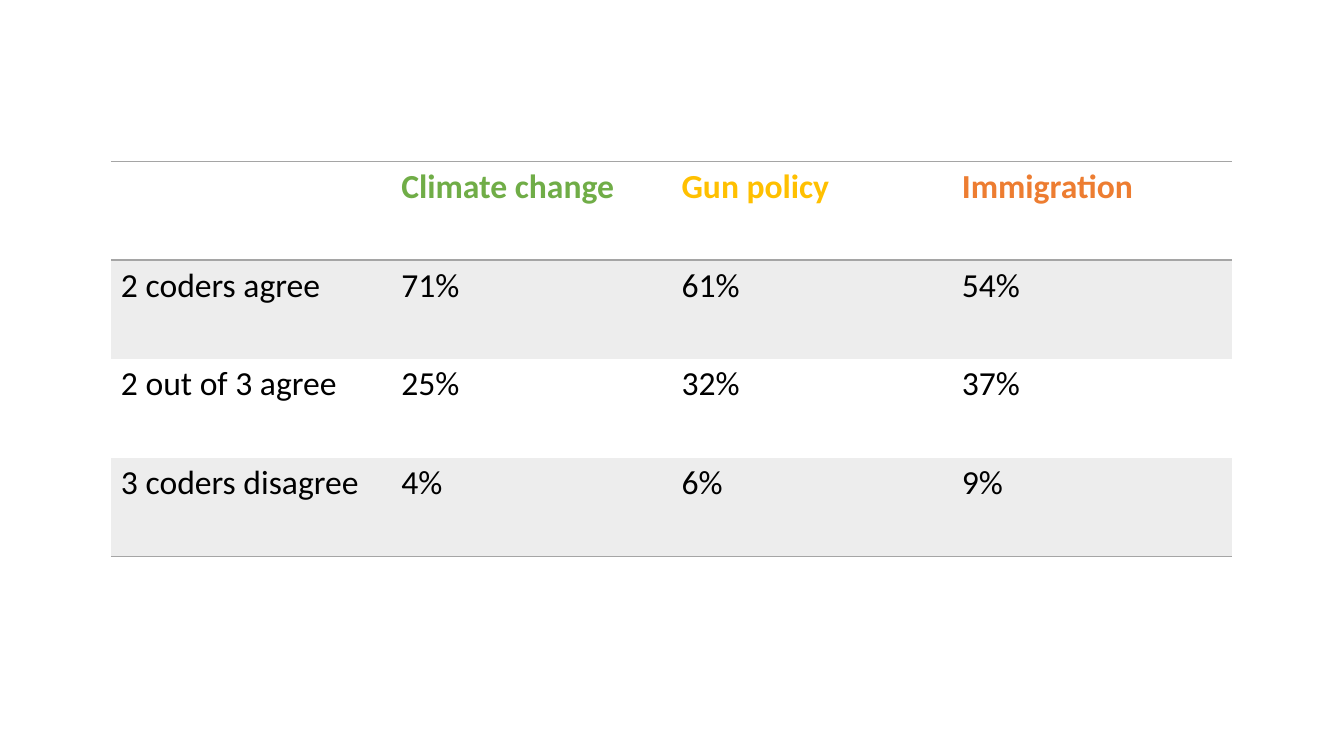
"""Build a slide with a table of coder agreement by topic."""
from lxml import etree
from pptx import Presentation
from pptx.dml.color import RGBColor
from pptx.oxml.ns import qn
from pptx.util import Inches, Pt

BLACK = RGBColor(0x00, 0x00, 0x00)
GREEN = RGBColor(0x70, 0xAD, 0x47)
YELLOW = RGBColor(0xFF, 0xC0, 0x00)
ORANGE = RGBColor(0xED, 0x7D, 0x31)
GRAY = RGBColor(0xA5, 0xA5, 0xA5)
BAND = RGBColor(0xED, 0xED, 0xED)
NO_STYLE = "{2D5ABB26-0587-4C30-8999-92F81FD0307C}"

ROWS = [
    ["", "Climate change", "Gun policy", "Immigration"],
    ["2 coders agree", "71%", "61%", "54%"],
    ["2 out of 3 agree", "25%", "32%", "37%"],
    ["3 coders disagree", "4%", "6%", "9%"],
]
HEADER_COLORS = [BLACK, GREEN, YELLOW, ORANGE]
RULES = {0: ["a:lnT", "a:lnB"], 3: ["a:lnB"]}


def add_rule(cell, side):
    """Draw a thin gray line on one side of a cell."""
    ln = etree.SubElement(cell._tc.get_or_add_tcPr(), qn(side), w=str(Pt(1)))
    fill = etree.SubElement(ln, qn("a:solidFill"))
    etree.SubElement(fill, qn("a:srgbClr"), val=str(GRAY))


prs = Presentation()
prs.slide_width, prs.slide_height = Inches(13.33), Inches(7.5)
s = prs.slides.add_slide(prs.slide_layouts[6])

col_w, row_h = Inches(2.78), Inches(0.98)
frame = s.shapes.add_table(len(ROWS), len(ROWS[0]), Inches(1.1), Inches(1.6),
                           col_w * len(ROWS[0]), row_h * len(ROWS))
table = frame.table
table.horz_banding = False
table._tbl.tblPr.find(qn("a:tableStyleId")).text = NO_STYLE

for i, row in enumerate(ROWS):
    for j, text in enumerate(row):
        cell = table.cell(i, j)
        for side in RULES.get(i, []):
            add_rule(cell, side)
        if i % 2:
            cell.fill.solid()
            cell.fill.fore_color.rgb = BAND
        else:
            cell.fill.background()
        cell.text = text
        font = cell.text_frame.paragraphs[0].font
        font.name = "Calibri"
        font.size = Pt(24)
        font.bold = i == 0
        font.color.rgb = BLACK if i else HEADER_COLORS[j]

prs.save("out.pptx")
